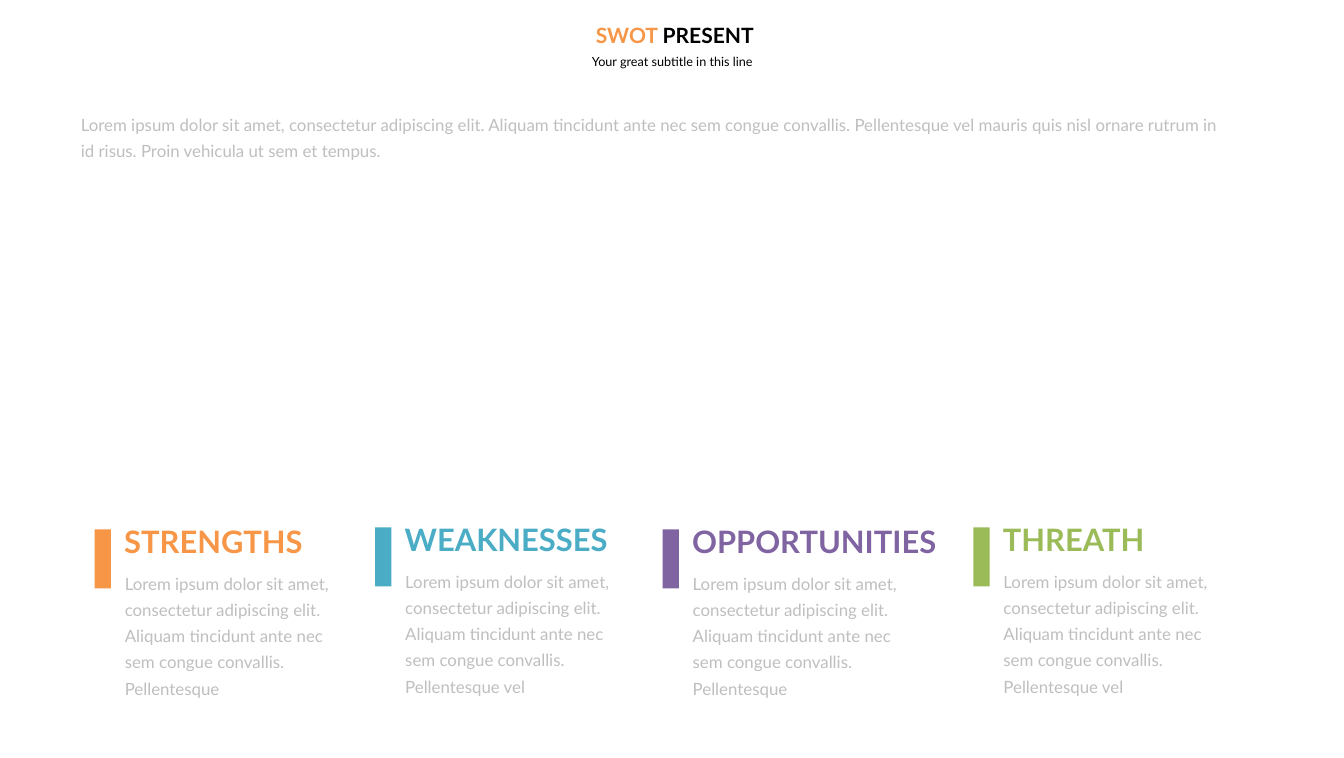
"""Build a SWOT slide with an introduction and four coloured columns."""
from pptx import Presentation
from pptx.dml.color import RGBColor
from pptx.enum.shapes import MSO_SHAPE
from pptx.enum.text import MSO_ANCHOR, MSO_AUTO_SIZE, PP_ALIGN
from pptx.util import Inches, Pt


def color(value):
    return RGBColor.from_string(value)


def add_text(box, runs, size, insets, bold=None, **paragraph_format):
    shape = slide.shapes.add_textbox(*[Inches(length) for length in box])
    horizontal, vertical = [Inches(inset) for inset in insets]
    spaced = "line_spacing" in paragraph_format
    frame_format = {
        "word_wrap": True,
        "auto_size": MSO_AUTO_SIZE.SHAPE_TO_FIT_TEXT,
        "vertical_anchor": MSO_ANCHOR.MIDDLE if spaced else MSO_ANCHOR.TOP,
        "margin_left": horizontal,
        "margin_right": horizontal,
        "margin_top": vertical,
        "margin_bottom": vertical,
    }
    for name, value in frame_format.items():
        setattr(shape.text_frame, name, value)
    paragraph = shape.text_frame.paragraphs[0]
    for name, value in paragraph_format.items():
        setattr(paragraph, name, value)
    for text, run_color in runs:
        run = paragraph.add_run()
        run.text = text
        font_format = {"name": "Lato", "size": Pt(size), "bold": bold}
        for name, value in font_format.items():
            setattr(run.font, name, value)
        run.font.color.rgb = color(run_color)


BLACK, GRAY, ORANGE = "000000", "BFBFBF", "F79646"
BODY_INSETS = (0.27, 0.13)
LOREM = (
    "Lorem ipsum dolor sit amet, consectetur adipiscing elit. "
    "Aliquam tincidunt ante nec sem congue convallis. Pellentesque"
)

presentation = Presentation()
presentation.slide_width = Inches(26.6)
presentation.slide_height = Inches(15)
slide = presentation.slides.add_slide(presentation.slide_layouts[6])

add_text((9.22, 0.95, 8.17, 0.55), [("Your great subtitle in this line", BLACK)],
         18, (0.24, 0.12), alignment=PP_ALIGN.CENTER)
add_text((8.3, 0.34, 10.11, 0.71), [("SWOT ", ORANGE), ("PRESENT", BLACK)],
         30, (0.2, 0.1), bold=True, alignment=PP_ALIGN.CENTER)

columns = [
    ("STRENGTHS", ORANGE, 2.2, 11.08, 5.06, LOREM),
    ("WEAKNESSES", "4BACC6", 7.75, 11.04, 5.01, LOREM + " vel"),
    ("OPPORTUNITIES", "8064A2", 13.44, 11.08, 5.06, LOREM),
    ("THREATH", "9BBB59", 19.59, 11.04, 5.01, LOREM + " vel"),
]
for heading, accent, left, top, width, body in columns:
    add_text((left, top, width, 2.89), [(body, GRAY)], 24, BODY_INSETS, line_spacing=1.3)
    add_text((left + 0.16, top - 0.78, 5.52, 0.84), [(heading, accent)],
             44, (0.1, 0.05), bold=True)
    bar = slide.shapes.add_shape(MSO_SHAPE.RECTANGLE, Inches(left - 0.75),
                                 Inches(top - 0.18), Inches(1.17), Inches(0.32))
    bar.rotation = 270
    bar.shadow.inherit = False
    bar.fill.solid()
    bar.fill.fore_color.rgb = color(accent)
    bar.line.fill.background()

introduction = LOREM + (
    " vel mauris quis nisl ornare rutrum in id risus. Proin vehicula ut sem et tempus."
)
add_text((1.33, 2.01, 23.14, 1.32), [(introduction, GRAY)], 24, BODY_INSETS, line_spacing=1.3)

presentation.save("out.pptx")
